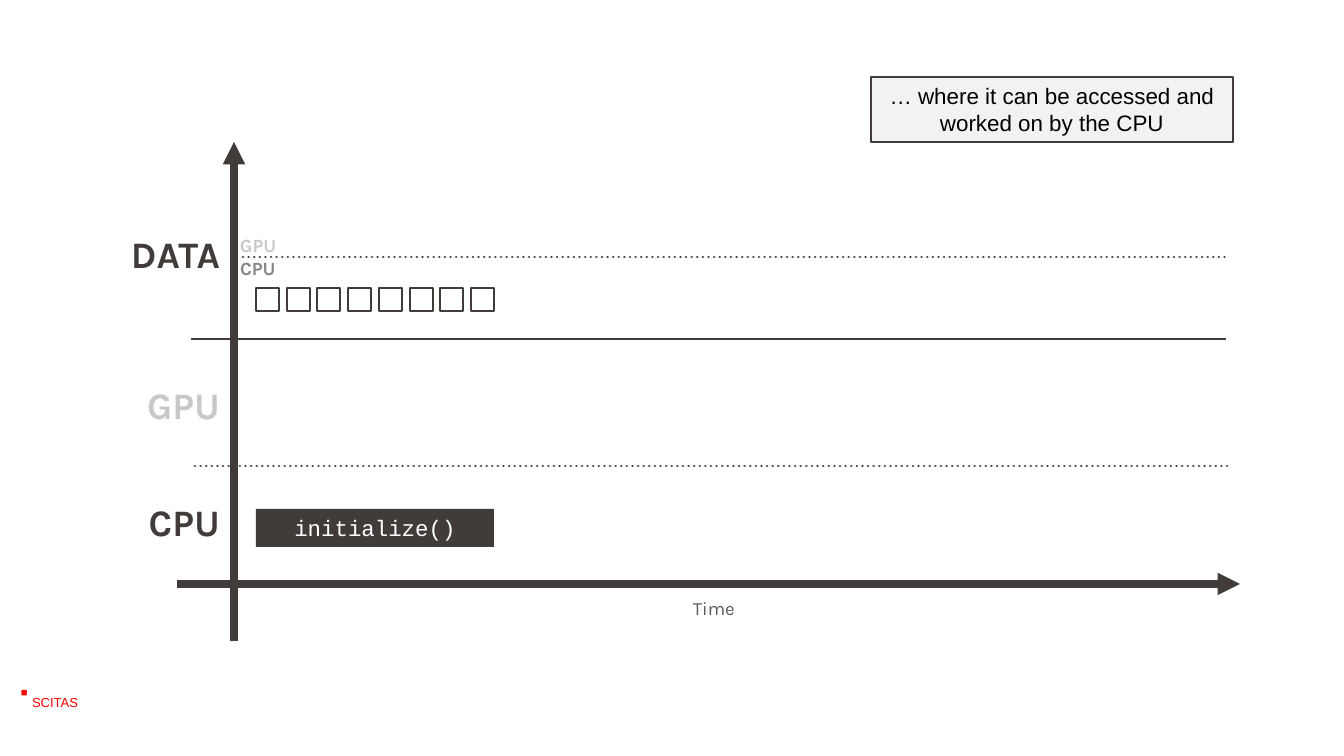
from lxml import etree
from pptx import Presentation
from pptx.dml.color import RGBColor
from pptx.enum.dml import MSO_LINE
from pptx.enum.shapes import MSO_CONNECTOR, MSO_SHAPE
from pptx.enum.text import MSO_ANCHOR, PP_ALIGN
from pptx.oxml.ns import qn
from pptx.util import Pt

SLIDE_W, SLIDE_H = 1344, 756
PX = 9144000 / SLIDE_W
BLANK_LAYOUT = 6

DARK = RGBColor(0x41, 0x3C, 0x3A)
PALE = RGBColor(0xCA, 0xC7, 0xC7)
MID = RGBColor(0x86, 0x86, 0x86)
TIME_GRAY = RGBColor(0x59, 0x59, 0x59)
NOTE_FILL = RGBColor(0xF2, 0xF2, 0xF2)
BLACK = RGBColor(0, 0, 0)
WHITE = RGBColor(0xFF, 0xFF, 0xFF)
RED = RGBColor(0xFF, 0, 0)

STRAIGHT, RECT = MSO_CONNECTOR.STRAIGHT, MSO_SHAPE.RECTANGLE
DOTTED = MSO_LINE.ROUND_DOT
TOP, MIDDLE, BOTTOM = MSO_ANCHOR.TOP, MSO_ANCHOR.MIDDLE, MSO_ANCHOR.BOTTOM
LEFT, CENTER, RIGHT = PP_ALIGN.LEFT, PP_ALIGN.CENTER, PP_ALIGN.RIGHT

CELL_COUNT, CELL_SIZE = 8, 23
TASK_LEFT, TASK_WIDTH = 256, 238


def emu(*lengths):
    """Turn px lengths into EMU."""
    return [round(length * PX) for length in lengths]


def write(shape, text, *, size, color, font="Karla", bold=False, align=LEFT,
          anchor=BOTTOM, spacing=0.9, inset=(11, 5)):
    """Put one formatted paragraph into a shape."""
    frame = shape.text_frame
    frame.word_wrap = True
    frame.vertical_anchor = anchor
    side, edge = emu(*inset)
    frame.margin_left = frame.margin_right = side
    frame.margin_top = frame.margin_bottom = edge
    paragraph = frame.paragraphs[0]
    paragraph.alignment = align
    paragraph.line_spacing = spacing
    run = paragraph.add_run()
    run.text = text
    run.font.name = font
    run.font.size = Pt(size)
    run.font.bold = bold
    run.font.color.rgb = color


def add_label(slide, box, text, **style):
    """Add a text box holding one label."""
    write(slide.shapes.add_textbox(*emu(*box)), text, **style)


def add_box(slide, box, fill=None, outline=None):
    """Add a flat rectangle with optional fill and outline."""
    shape = slide.shapes.add_shape(RECT, *emu(*box))
    shape.shadow.inherit = False
    if fill is None:
        shape.fill.background()
    else:
        shape.fill.solid()
        shape.fill.fore_color.rgb = fill
    if outline is None:
        shape.line.fill.background()
    else:
        shape.line.color.rgb = outline
        shape.line.width = Pt(0.75)
    return shape


def add_line(slide, start, end, width=1.5, dotted=False, arrow=False):
    """Add a straight line, dotted or with an arrowhead if asked."""
    connector = slide.shapes.add_connector(STRAIGHT, *emu(*start, *end))
    connector.line.color.rgb = DARK
    connector.line.width = Pt(width)
    outline = connector.line._get_or_add_ln()
    if dotted:
        connector.line.dash_style = DOTTED
        outline.set("cap", "rnd")
    if arrow:
        etree.SubElement(outline, qn("a:tailEnd"), type="triangle")
    etree.SubElement(connector._element.spPr, qn("a:effectLst"))


def add_footer(slide):
    """Add the red footer mark and name."""
    add_label(slide, (8, 681, 42, 42), "■", size=6, color=RED, font="Arial",
              bold=True, anchor=TOP, inset=(13, 13))
    add_label(slide, (19, 661, 75, 83), "SCITAS", size=7, color=RED,
              font="Arial", anchor=MIDDLE, spacing=1.0, inset=(13, 7))


def add_axes(slide):
    """Add the two arrows and the lines between the lanes."""
    add_line(slide, (234, 641), (234, 142), width=4, arrow=True)
    add_line(slide, (177, 584), (1240, 584), width=4, arrow=True)
    add_line(slide, (195, 466), (1228, 466), dotted=True)
    add_line(slide, (191, 339), (1226, 339))
    add_line(slide, (243, 257), (1226, 257), dotted=True)


def add_labels(slide):
    """Name the lanes, the data halves and the time axis."""
    add_label(slide, (229, 257, 79, 28), "CPU", size=10, color=MID, bold=True)
    add_label(slide, (229, 234, 69, 28), "GPU", size=10, color=PALE, bold=True)
    add_label(slide, (682, 594, 94, 31), "Time", size=10, color=TIME_GRAY)
    for text, top, color in (("CPU", 503, DARK), ("GPU", 386, PALE)):
        add_label(slide, (17, top, 214, 47), text, size=20, color=color,
                  bold=True, align=RIGHT)
    add_label(slide, (120, 235, 125, 47), "DATA", size=20, color=DARK,
              bold=True)


def add_data_cells(slide):
    """Spread the data cells evenly over the width of the task."""
    pitch = (TASK_WIDTH - CELL_SIZE) / (CELL_COUNT - 1)
    for index in range(CELL_COUNT):
        left = TASK_LEFT + round(index * pitch)
        add_box(slide, (left, 288, CELL_SIZE, CELL_SIZE), outline=DARK)


def main():
    """Build the slide and save it."""
    deck = Presentation()
    deck.slide_width, deck.slide_height = emu(SLIDE_W, SLIDE_H)
    slide = deck.slides.add_slide(deck.slide_layouts[BLANK_LAYOUT])
    add_footer(slide)
    note = add_box(slide, (871, 77, 362, 65), NOTE_FILL, DARK)
    write(note, "… where it can be accessed and worked on by the CPU", size=12,
          color=BLACK, font="Arial", align=CENTER, anchor=TOP, spacing=1.0)
    add_axes(slide)
    task = add_box(slide, (TASK_LEFT, 509, TASK_WIDTH, 38), DARK)
    write(task, "initialize()", size=12, color=WHITE, font="Courier New",
          align=CENTER, anchor=MIDDLE, spacing=1.0)
    add_data_cells(slide)
    add_labels(slide)
    deck.save("out.pptx")


if __name__ == "__main__":
    main()
